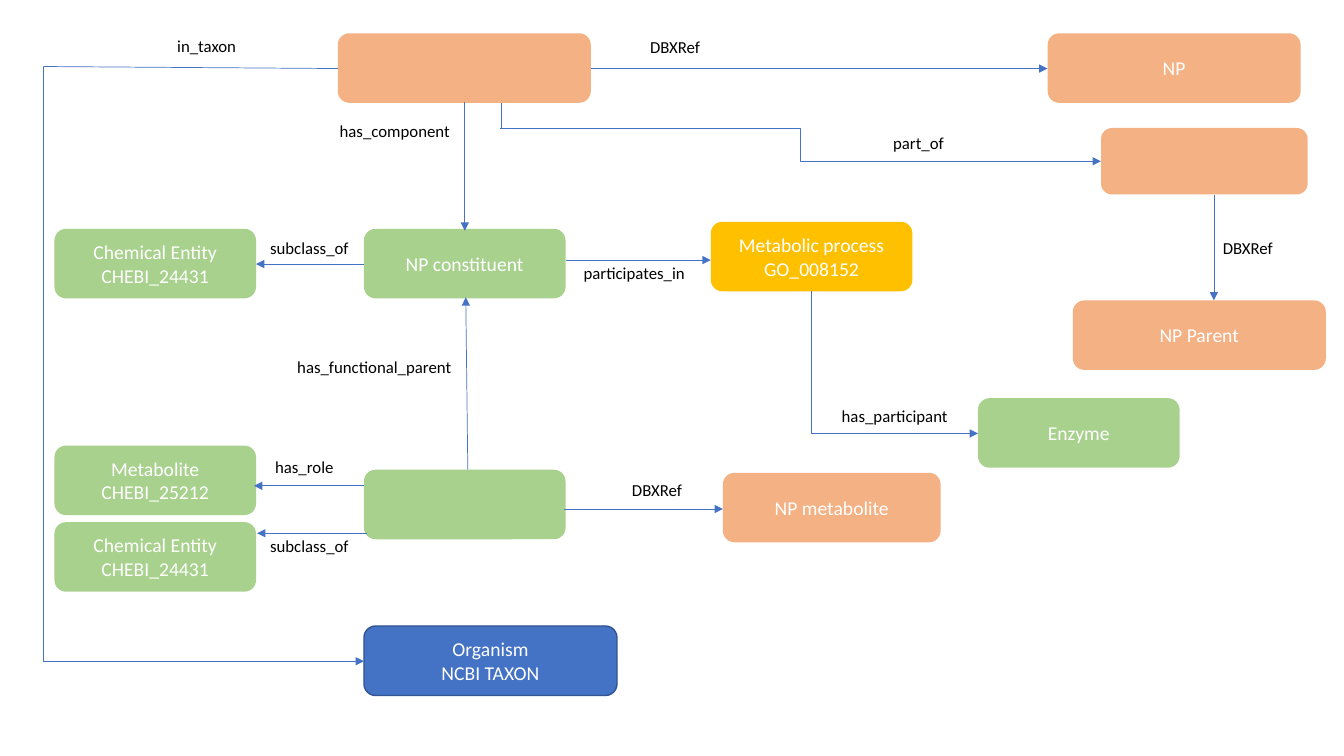
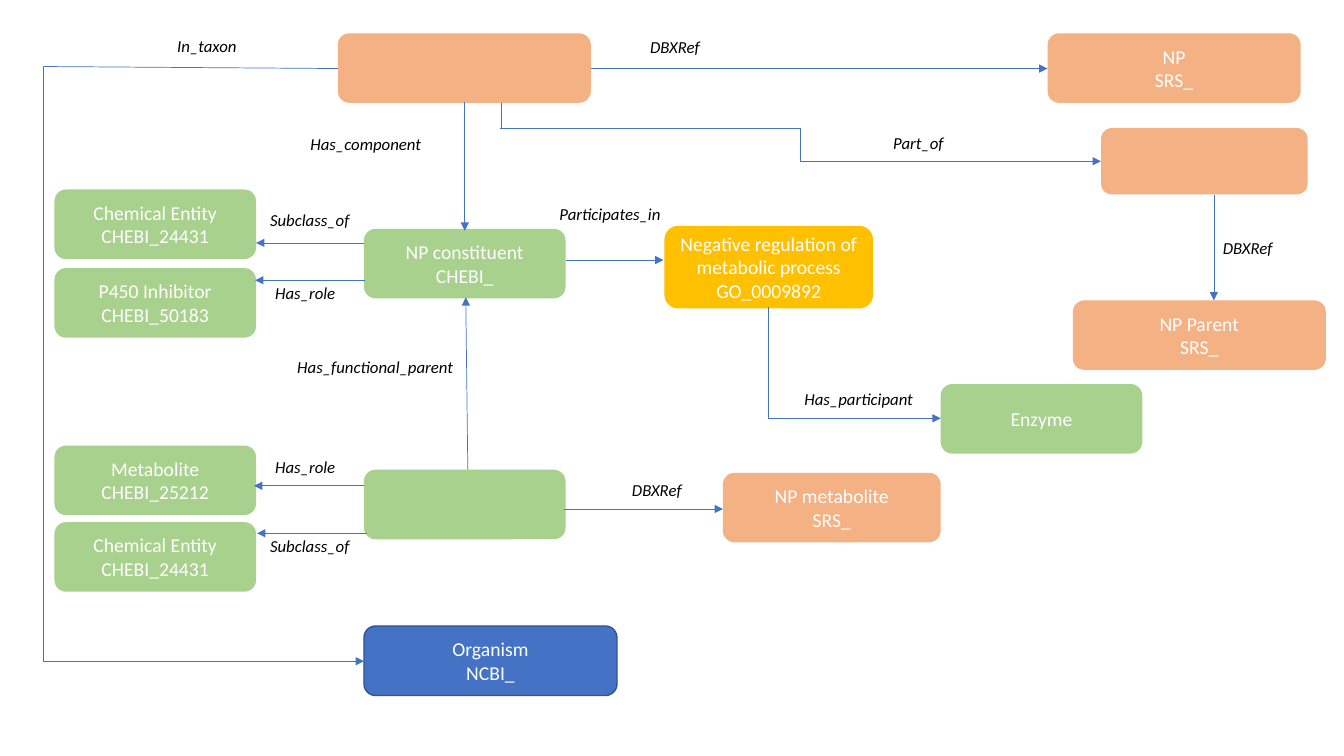
from pptx import Presentation
from pptx.dml.color import RGBColor
from pptx.enum.shapes import MSO_CONNECTOR as Link, MSO_SHAPE as Preset
from pptx.enum.text import MSO_ANCHOR as Anchor, MSO_AUTO_SIZE as Fit, PP_ALIGN as Align
from pptx.oxml.ns import qn
from pptx.util import Inches, Pt
from lxml import etree

COLUMNS, ROWS = 13.33, 7.5
WIDTH, HEIGHT = Inches(COLUMNS), Inches(ROWS)
FONT = "Calibri"
COLORS = {
    "product": "F4B183",
    "chemical": "A9D18E",
    "process": "FFC000",
    "organism": "4472C4",
    "organism_edge": "325491",
    "link": "4472C4",
    "box_text": "FFFFFF",
    "label": "000000",
}
BOX_ROWS, LABEL_ROWS = 0.69, 0.3
WIDE, NORMAL = 2.51, 2

LABEL_COLUMNS = {
    "has_component": 1.32,
    "in_taxon": 0.8,
    "subclass_of": 1,
    "DBXRef": 0.7,
    "has_role": 0.81,
    "part_of": 0.72,
    "participates_in": 1.22,
    "has_participant": 1.3,
    "has_functional_parent": 1.77,
}

CHEMICAL_ENTITY = ["Chemical Entity", "CHEBI_24431"]

SHARED_BOXES = [
    ("product", 3.35, 0.33, WIDE, BOX_ROWS, []),
    ("product", 10.92, 1.27, 2.05, 0.66, []),
    ("chemical", 3.61, 4.66, NORMAL, BOX_ROWS, []),
    ("chemical", 0.54, 4.42, NORMAL, BOX_ROWS, ["Metabolite", "CHEBI_25212"]),
    ("chemical", 0.54, 5.18, NORMAL, BOX_ROWS, CHEMICAL_ENTITY),
]
SHARED_ARROWS = [
    (4.61, 1.01, 4.61, 2.29),
    (0.43, 6.56, 3.61, 6.56),
    (5.59, 5.05, 7.17, 5.05),
    (5.86, 0.68, 10.39, 0.68),
    (3.61, 4.82, 2.52, 4.82),
    (3.64, 5.29, 2.55, 5.29),
    (4.64, 4.66, 4.62, 2.95),
    (12.04, 1.93, 12.04, 2.98),
]
SHARED_LINES = [
    (3.35, 0.68, 0.43, 0.66),
    (0.43, 0.66, 0.43, 6.56),
    (4.97, 1.02, 4.97, 1.27),
]
SHARED_LABELS = [
    ("in_taxon", 1.66, 0.31),
    ("DBXRef", 6.17, 4.71),
    ("DBXRef", 6.35, 0.32),
    ("DBXRef", 12.03, 2.31),
    ("has_role", 2.63, 4.48),
    ("subclass_of", 2.58, 5.27),
    ("part_of", 8.76, 1.27),
    ("has_functional_parent", 2.85, 3.49),
]

GENERAL_MODEL = {
    "italic": False,
    "product_id": [],
    "boxes": [
        ("organism", 3.61, 6.21, WIDE, BOX_ROWS, ["Organism", "NCBI TAXON"]),
        ("chemical", 3.61, 2.27, NORMAL, BOX_ROWS, ["NP constituent"]),
        ("chemical", 0.54, 2.27, NORMAL, BOX_ROWS, CHEMICAL_ENTITY),
        ("process", 7.05, 2.2, NORMAL, BOX_ROWS, ["Metabolic process", "GO_008152"]),
        ("chemical", 9.7, 3.95, NORMAL, BOX_ROWS, ["Enzyme"]),
    ],
    "arrows": [(3.61, 2.62, 2.54, 2.62), (5.61, 2.58, 7.05, 2.58)],
    "corner": (8.05, 2.89, 9.7, 4.3),
    "labels": [
        ("has_component", 3.27, 1.15),
        ("subclass_of", 2.58, 2.31),
        ("participates_in", 5.69, 2.56),
        ("has_participant", 8.25, 3.98),
    ],
}
INHIBITOR_MODEL = {
    "italic": True,
    "product_id": ["SRS_"],
    "boxes": [
        ("organism", 3.61, 6.21, WIDE, BOX_ROWS, ["Organism", "NCBI_"]),
        ("chemical", 3.61, 2.27, NORMAL, BOX_ROWS, ["NP constituent", "CHEBI_"]),
        ("chemical", 0.54, 1.88, NORMAL, BOX_ROWS, CHEMICAL_ENTITY),
        ("chemical", 0.54, 2.66, NORMAL, BOX_ROWS, ["P450 Inhibitor", "CHEBI_50183"]),
        ("process", 6.59, 2.24, 2.07, 0.82,
         ["Negative regulation of metabolic process", "GO_0009892"]),
        ("chemical", 9.33, 3.81, NORMAL, BOX_ROWS, ["Enzyme"]),
    ],
    "arrows": [
        (3.61, 2.41, 2.54, 2.41),
        (3.62, 2.78, 2.53, 2.78),
        (5.61, 2.58, 6.58, 2.58),
    ],
    "corner": (7.62, 3.05, 9.33, 4.15),
    "labels": [
        ("has_component", 2.98, 1.28),
        ("subclass_of", 2.58, 2.03),
        ("has_role", 2.63, 2.76),
        ("participates_in", 5.45, 1.97),
        ("has_participant", 7.88, 3.81),
    ],
}


def grid(column, row):
    return round(WIDTH * column / COLUMNS), round(HEIGHT * row / ROWS)


def color(name):
    return RGBColor.from_string(COLORS[name])


def add_span(para, text, size, ink, italic=False):
    span = para.add_run()
    span.text = text
    span.font.name = FONT
    span.font.size = Pt(size)
    span.font.italic = italic
    span.font.color.rgb = color(ink)


def add_box(page, kind, left, top, width, height, lines):
    box = page.shapes.add_shape(
        Preset.ROUNDED_RECTANGLE, *grid(left, top), *grid(width, height))
    box.shadow.inherit = False
    box.fill.solid()
    box.fill.fore_color.rgb = color(kind)
    if kind == "organism":
        box.line.color.rgb = color("organism_edge")
        box.line.width = Pt(1)
    else:
        box.line.fill.background()
    frame = box.text_frame
    frame.word_wrap = True
    frame.vertical_anchor = Anchor.MIDDLE
    for index, text in enumerate(lines):
        para = frame.add_paragraph() if index else frame.paragraphs[0]
        para.alignment = Align.CENTER
        add_span(para, text, 14, "box_text")


def add_label(page, name, left, top, italic):
    box = page.shapes.add_textbox(
        *grid(left, top), *grid(LABEL_COLUMNS[name], LABEL_ROWS))
    frame = box.text_frame
    frame.word_wrap = False
    frame.auto_size = Fit.SHAPE_TO_FIT_TEXT
    text = name[0].upper() + name[1:] if italic else name
    add_span(frame.paragraphs[0], text, 12, "label", italic)


def add_link(page, ends, kind=Link.STRAIGHT, arrow=True):
    left, top, right, bottom = ends
    link = page.shapes.add_connector(kind, *grid(left, top), *grid(right, bottom))
    link.line.color.rgb = color("link")
    link.line.width = Pt(0.5)
    if arrow:
        etree.SubElement(link.line._get_or_add_ln(), qn("a:tailEnd"), type="triangle")
    etree.SubElement(link._element.spPr, qn("a:effectLst"))
    return link


def add_corner(page, ends):
    left, top, right, bottom = ends
    middle, center = (left + right) / 2, (top + bottom) / 2
    half_run, half_drop = (right - left) / 2, (bottom - top) / 2
    turned = (middle + half_drop, center - half_run,
              middle - half_drop, center + half_run)
    link = add_link(page, turned, Link.ELBOW)
    shape = link._element.spPr
    shape.find(qn("a:xfrm")).set("rot", str(270 * 60000))
    shape.find(qn("a:prstGeom")).set("prst", "bentConnector2")


def add_model(deck, model):
    page = deck.slides.add_slide(deck.slide_layouts[6])
    products = [
        ("product", left, top, width, BOX_ROWS, [name] + model["product_id"])
        for name, left, top, width in [
            ("NP", 10.39, 0.33, WIDE),
            ("NP Parent", 10.64, 2.98, WIDE),
            ("NP metabolite", 7.17, 4.69, 2.16),
        ]
    ]
    for box in SHARED_BOXES + products + model["boxes"]:
        add_box(page, *box)
    for ends in SHARED_ARROWS + model["arrows"]:
        add_link(page, ends)
    for ends in SHARED_LINES:
        add_link(page, ends, arrow=False)
    add_link(page, (4.96, 1.27, 10.92, 1.6), Link.ELBOW)
    add_corner(page, model["corner"])
    for label in SHARED_LABELS + model["labels"]:
        add_label(page, *label, model["italic"])


def main():
    deck = Presentation()
    deck.slide_width, deck.slide_height = WIDTH, HEIGHT
    for model in (GENERAL_MODEL, INHIBITOR_MODEL):
        add_model(deck, model)
    deck.save("out.pptx")


main()
